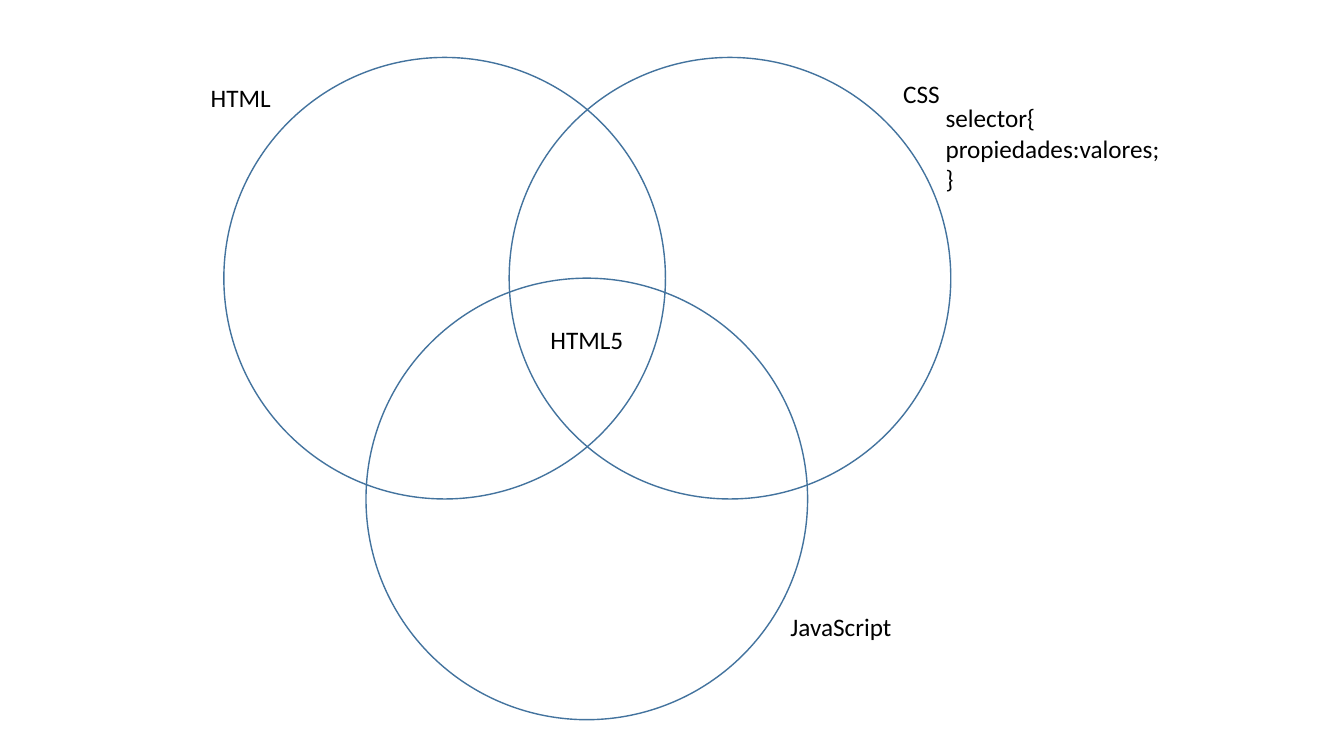
from pptx import Presentation
from pptx.dml.color import RGBColor
from pptx.enum.shapes import MSO_SHAPE
from pptx.enum.text import MSO_AUTO_SIZE
from pptx.util import Inches, Pt

ELLIPSE = MSO_SHAPE.OVAL
GROW = MSO_AUTO_SIZE.SHAPE_TO_FIT_TEXT
BLANK_LAYOUT = 6

DIAMETER = 4.38
LABEL_WIDTH, LABEL_HEIGHT = 1.32, 0.4
OUTLINE, INK = "43739E", "000000"

# Left and top of each circle
CIRCLES = [(2.22, 0.57), (5.05, 0.57), (3.63, 2.76)]

# Label, left, top
LABELS = [
    ("HTML", 1.99, 0.77),
    ("CSS", 8.86, 0.73),
    ("JavaScript", 7.74, 6.02),
    ("HTML5", 5.36, 3.17),
]
CSS_RULE = ["selector{", "propiedades:valores;", "}"]


def color(hex_code):
    return RGBColor.from_string(hex_code)


def add_circle(slide, left, top):
    circle = slide.shapes.add_shape(
        ELLIPSE, Inches(left), Inches(top), Inches(DIAMETER), Inches(DIAMETER))
    circle.shadow.inherit = False
    circle.fill.background()
    circle.line.color.rgb = color(OUTLINE)
    circle.line.width = Pt(1)


def add_text(slide, lines, left, top, width=LABEL_WIDTH, height=LABEL_HEIGHT):
    box = slide.shapes.add_textbox(
        Inches(left), Inches(top), Inches(width), Inches(height))
    frame = box.text_frame
    frame.word_wrap = True
    frame.auto_size = GROW
    frame.text = "\n".join(lines)
    for paragraph in frame.paragraphs:
        paragraph.font.name = "Calibri"
        paragraph.font.size = Pt(18)
        paragraph.font.color.rgb = color(INK)


def main():
    prs = Presentation()
    prs.slide_width, prs.slide_height = Inches(13.33), Inches(7.5)
    slide = prs.slides.add_slide(prs.slide_layouts[BLANK_LAYOUT])

    # Venn diagram
    for left, top in CIRCLES:
        add_circle(slide, left, top)

    # Names of the sets and their intersection
    for label, left, top in LABELS:
        add_text(slide, [label], left, top)

    # CSS syntax
    add_text(slide, CSS_RULE, 9.28, 0.97, 3.72, 1.01)

    prs.save("out.pptx")


if __name__ == "__main__":
    main()
